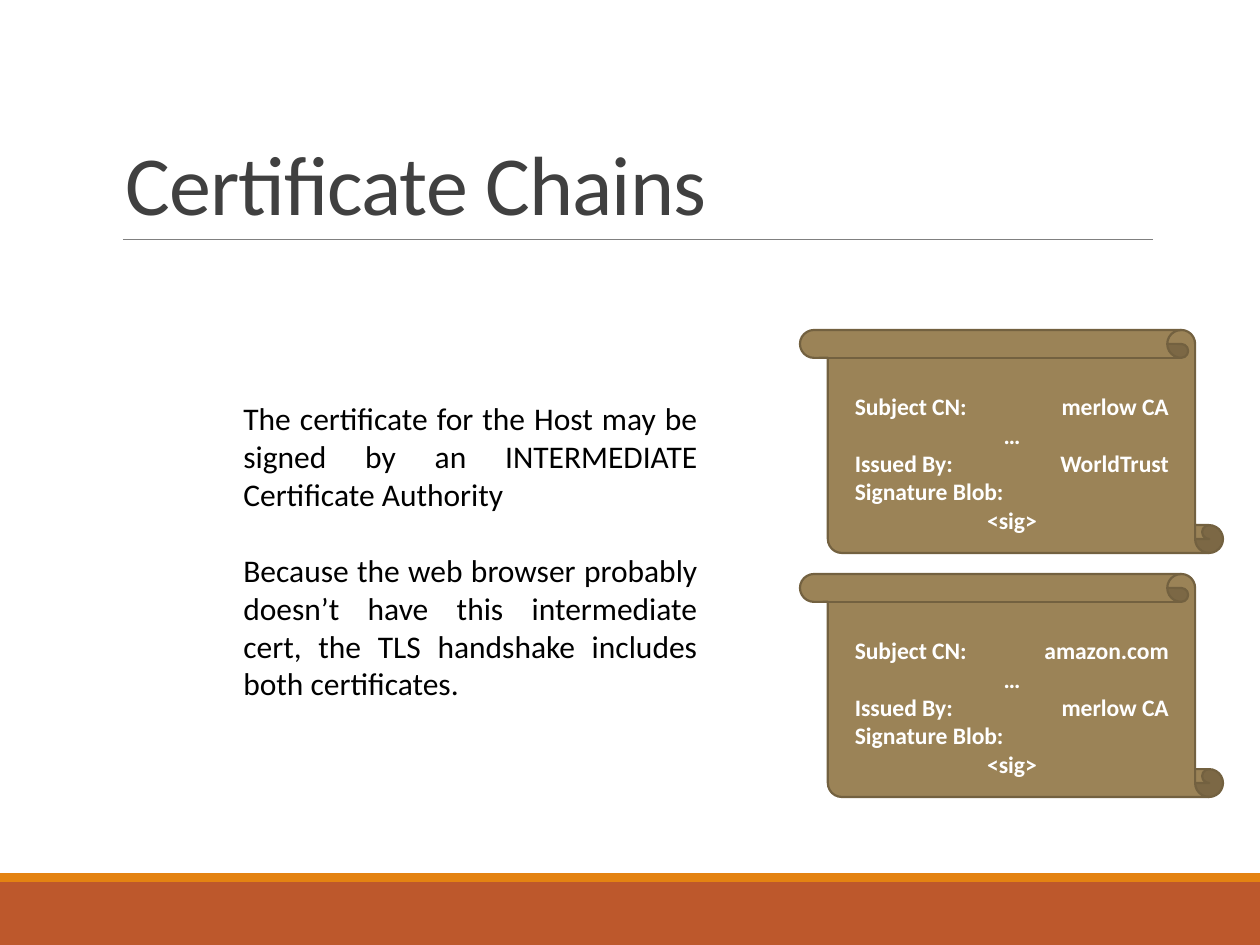
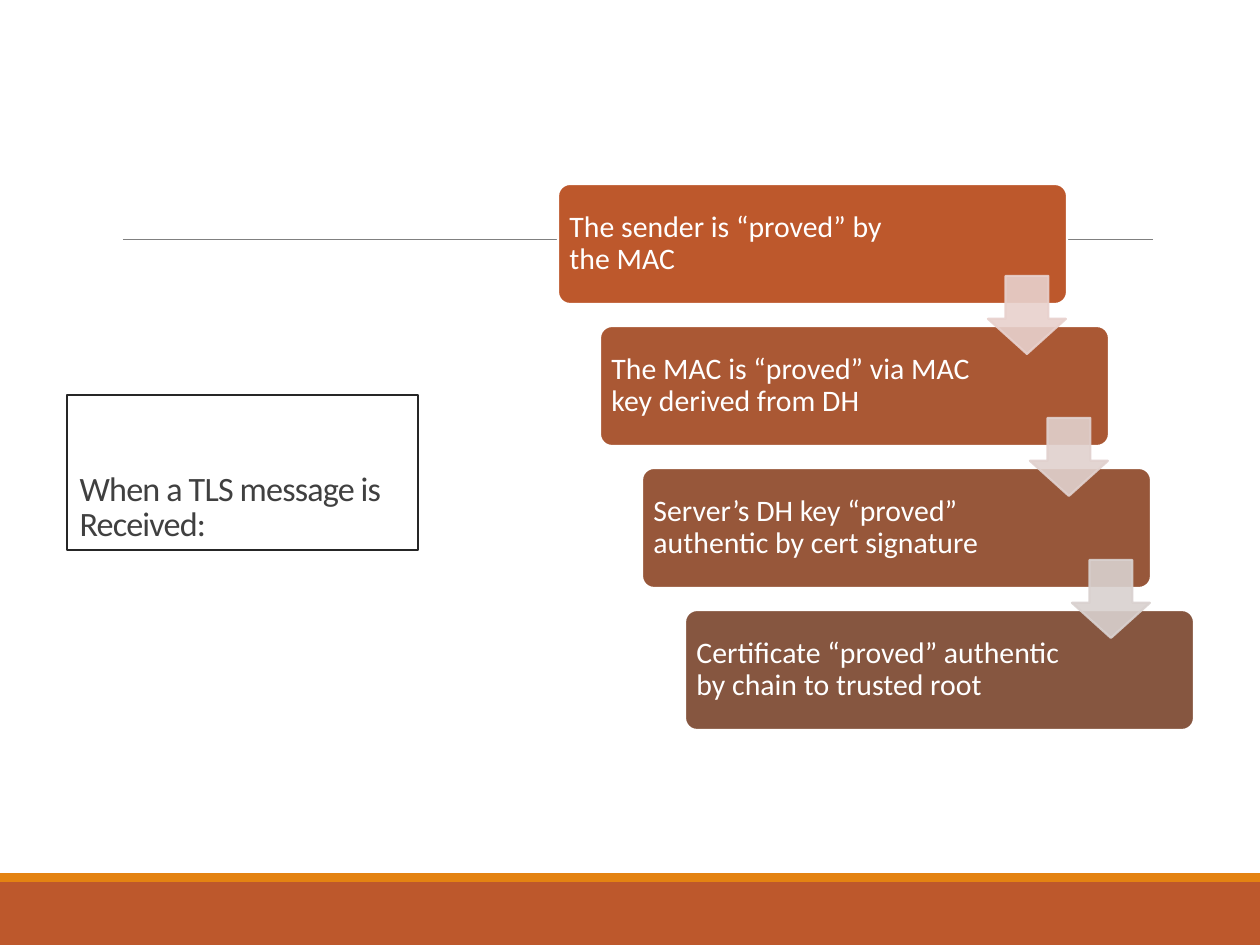
"""Build two slides on how TLS certificates are trusted."""
from lxml.etree import SubElement
from pptx import Presentation
from pptx.dml.color import RGBColor
from pptx.enum.shapes import MSO_CONNECTOR, MSO_SHAPE
from pptx.enum.text import MSO_ANCHOR, MSO_AUTO_SIZE, PP_ALIGN
from pptx.oxml.ns import qn
from pptx.util import Emu, Pt

PX = 914400 / 126
PAGE_WIDTH, PAGE_HEIGHT = 1260, 945
FONT = "Calibri"

BLACK = RGBColor(0x00, 0x00, 0x00)
WHITE = RGBColor(0xFF, 0xFF, 0xFF)
TITLE_GREY = RGBColor(0x40, 0x40, 0x40)
FRAME_GREY = RGBColor(0x26, 0x26, 0x26)
RULE_GREY = RGBColor(0x80, 0x80, 0x80)
RUST = RGBColor(0xBD, 0x58, 0x2C)
ORANGE = RGBColor(0xE4, 0x83, 0x12)
PARCHMENT = RGBColor(0x9B, 0x83, 0x57)
PARCHMENT_EDGE = RGBColor(0x73, 0x61, 0x40)

CERTIFICATES = [("merlow CA", "WorldTrust"), ("amazon.com", "merlow CA")]
EXPLANATION = [
    "The certificate for the Host may be signed by an INTERMEDIATE Certificate Authority",
    "Because the web browser probably doesn’t have this intermediate cert, "
    "the TLS handshake includes both certificates.",
]
PROOF_STEPS = [
    ("The sender is “proved” by the MAC", RUST, 142),
    ("The MAC is “proved” via MAC key derived from DH", RGBColor(0xAA, 0x58, 0x34), 130),
    ("Server’s DH key “proved” authentic by cert signature", RGBColor(0x97, 0x57, 0x3A), 130),
    ("Certificate “proved” authentic by chain to trusted root", RGBColor(0x86, 0x56, 0x40), 130),
]
ARROW_COLOURS = [
    RGBColor(0xE8, 0xD1, 0xCD),
    RGBColor(0xE1, 0xD1, 0xCE),
    RGBColor(0xD9, 0xD1, 0xCF),
]


def px(*lengths):
    """Turn pixel lengths into a list of EMU lengths."""
    return [Emu(round(length * PX)) for length in lengths]


def add_block(page, kind, box, fill, edge=None, edge_width=1.25):
    """Add a filled preset shape, outlined when an edge colour is given."""
    block = page.shapes.add_shape(kind, *px(*box))
    block.shadow.inherit = False
    block.fill.solid()
    block.fill.fore_color.rgb = fill
    if edge is None:
        block.line.fill.background()
    else:
        block.line.color.rgb = edge
        block.line.width = Pt(edge_width)
    return block


def set_margins(frame, left, top, right, bottom):
    """Set the four text margins of a frame in pixels."""
    (frame.margin_left, frame.margin_top,
     frame.margin_right, frame.margin_bottom) = px(left, top, right, bottom)


def style_para(para, size, colour, align=PP_ALIGN.LEFT, bold=False):
    """Give a paragraph its alignment and font."""
    para.alignment = align
    para.font.name = FONT
    para.font.size = Pt(size)
    para.font.bold = bold
    para.font.color.rgb = colour


def furnish_layout(page, layout):
    """Draw the footer bands and title rule and move them to the layout."""
    footer = add_block(page, MSO_SHAPE.RECTANGLE, (0, 882, PAGE_WIDTH, 63), RUST)
    stripe = add_block(page, MSO_SHAPE.RECTANGLE, (0, 873, PAGE_WIDTH, 9), ORANGE)
    rule = page.shapes.add_connector(MSO_CONNECTOR.STRAIGHT, *px(123, 239, 1153, 239))
    rule.line.color.rgb = RULE_GREY
    rule.line.width = Pt(0.5)
    SubElement(rule._element.spPr, qn("a:effectLst"))
    for part in (footer, stripe, rule):
        layout.shapes._spTree.append(part._element)


def set_title(page, text, box, size):
    """Place and format the title placeholder."""
    title = page.shapes.title
    title.left, title.top, title.width, title.height = px(*box)
    frame = title.text_frame
    frame.text = text
    frame.word_wrap = True
    frame.auto_size = MSO_AUTO_SIZE.NONE
    frame.vertical_anchor = MSO_ANCHOR.BOTTOM
    para = frame.paragraphs[0]
    para.line_spacing = 0.85
    style_para(para, size, TITLE_GREY)
    para.font._element.set("spc", "-50")
    return title


def add_explanation(page, box):
    """Add the justified explanation paragraphs."""
    frame = page.shapes.add_textbox(*px(*box)).text_frame
    frame.word_wrap = True
    frame.text = "\n".join(EXPLANATION)
    for index, para in enumerate(frame.paragraphs):
        if index:
            para.space_before = Pt(22)
        style_para(para, 18, BLACK, PP_ALIGN.JUSTIFY)


def add_certificate(page, box, subject, issuer):
    """Add a scroll that shows the fields of one certificate."""
    scroll = add_block(page, MSO_SHAPE.VERTICAL_SCROLL, box, PARCHMENT, PARCHMENT_EDGE)
    scroll._element.spPr.xfrm.set("flipH", "1")
    frame = scroll.text_frame
    frame.word_wrap = True
    frame.vertical_anchor = MSO_ANCHOR.MIDDLE
    set_margins(frame, 27, 35, 26, 6)
    fields = [
        (f"Subject CN:\t{subject}", PP_ALIGN.LEFT),
        ("…", PP_ALIGN.CENTER),
        (f"Issued By:\t{issuer}", PP_ALIGN.LEFT),
        ("Signature Blob:", PP_ALIGN.LEFT),
        ("<sig>", PP_ALIGN.CENTER),
    ]
    frame.text = "\n".join(text for text, _ in fields)
    for para, (text, align) in zip(frame.paragraphs, fields):
        if "\t" in text:
            tabs = SubElement(para._p.get_or_add_pPr(), qn("a:tabLst"))
            SubElement(tabs, qn("a:tab"), pos=str(px(314)[0]), algn="r")
        style_para(para, 13.5, WHITE, align, bold=True)


def add_proof_step(page, box, text, colour, right_margin):
    """Add one rounded step of the proof staircase."""
    step = add_block(page, MSO_SHAPE.ROUNDED_RECTANGLE, box, colour, WHITE)
    step.adjustments[0] = 0.1
    frame = step.text_frame
    frame.word_wrap = True
    frame.vertical_anchor = MSO_ANCHOR.MIDDLE
    set_margins(frame, 8, 9, right_margin, 9)
    frame.text = text
    para = frame.paragraphs[0]
    para.line_spacing = 0.9
    style_para(para, 17, WHITE)


def add_step_arrow(page, box, colour):
    """Add a slightly transparent arrow between two steps."""
    arrow = add_block(page, MSO_SHAPE.DOWN_ARROW, box, colour, colour)
    arrow.adjustments[0] = 0.55
    arrow.adjustments[1] = 0.45
    for paint in arrow._element.spPr.iter(qn("a:srgbClr")):
        SubElement(paint, qn("a:alpha"), val="90000")


def add_proof_staircase(page, box):
    """Add the descending steps and the arrows that join them."""
    left, top, width, height = box
    corners = [(left + index * 127 // 3, top + index * 142)
               for index in range(len(PROOF_STEPS))]
    for (x, y), step in zip(corners, PROOF_STEPS):
        add_proof_step(page, (x, y, width, height), *step)
    for (x, y), colour in zip(corners, ARROW_COLOURS):
        add_step_arrow(page, (x + 430, y + 92, 78, 78), colour)


def build_chain_page(page):
    """Fill the slide on certificate chains."""
    set_title(page, "Certificate Chains", (113, 39, 1040, 200), 48)
    add_explanation(page, (231, 393, 479, 318))
    for index, (subject, issuer) in enumerate(CERTIFICATES):
        add_certificate(page, (800, 330 + index * 244, 423, 223), subject, issuer)


def build_proof_page(page):
    """Fill the slide on what proves a received message."""
    title = set_title(page, "When a TLS message is Received:", (67, 395, 351, 155), 19.5)
    title.fill.solid()
    title.fill.fore_color.rgb = WHITE
    title.line.color.rgb = FRAME_GREY
    title.line.width = Pt(0.75)
    add_proof_staircase(page, (558, 184, 509, 120))


def main():
    """Build and save the deck."""
    deck = Presentation()
    deck.slide_width, deck.slide_height = px(PAGE_WIDTH, PAGE_HEIGHT)
    layout = deck.slide_layouts[5]
    chain_page = deck.slides.add_slide(layout)
    furnish_layout(chain_page, layout)
    build_chain_page(chain_page)
    build_proof_page(deck.slides.add_slide(layout))
    deck.save("out.pptx")


if __name__ == "__main__":
    main()
